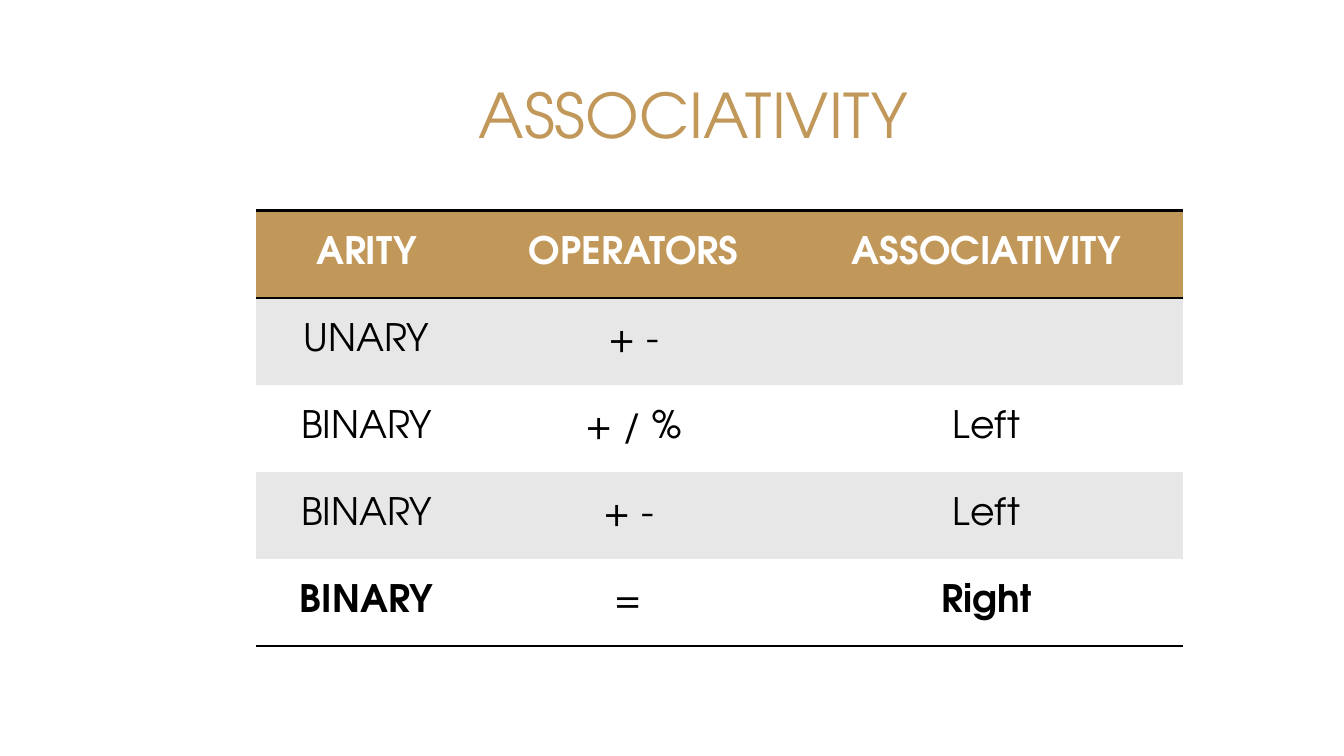
from dataclasses import dataclass

import pptx
import pptx.dml.color
import pptx.enum.text
import pptx.oxml
import pptx.oxml.ns
import pptx.util
from pptx.util import Inches


@dataclass(frozen=True)
class Theme:
    font: str = "TeX Gyre Adventor"
    gold: str = "C19859"
    band: str = "E7E7E7"
    white: str = "FFFFFF"
    black: str = "000000"
    title_size: int = 44
    table_size: int = 27
    rule_width: int = 2


theme = Theme()
NO_STYLE_TABLE = "{2D5ABB26-0587-4C30-8999-92F81FD0307C}"


def write_centred(text_frame, text, size, color, bold=False):
    paragraph = text_frame.paragraphs[0]
    paragraph.alignment = pptx.enum.text.PP_ALIGN.CENTER
    run = paragraph.add_run()
    run.text = text
    font_format = {"name": theme.font, "size": pptx.util.Pt(size), "bold": bold}
    for attribute, value in font_format.items():
        setattr(run.font, attribute, value)
    run.font.color.rgb = pptx.dml.color.RGBColor.from_string(color)


def add_rule(cell, side):
    """Draw a black border on one side of a cell: T for top, B for bottom."""
    width = pptx.util.Pt(theme.rule_width)
    cell_properties = cell._tc.get_or_add_tcPr()
    cell_properties.append(pptx.oxml.parse_xml(
        f'<a:ln{side} {pptx.oxml.ns.nsdecls("a")} w="{width}"><a:solidFill>'
        f'<a:srgbClr val="{theme.black}"/></a:solidFill></a:ln{side}>'))


presentation = pptx.Presentation()
presentation.slide_width = Inches(13.33)
presentation.slide_height = Inches(7.5)
slide = presentation.slides.add_slide(presentation.slide_layouts[6])

# Title
title = slide.shapes.add_textbox(Inches(1.34), Inches(0.4), Inches(11.08), Inches(1.45))
title.text_frame.word_wrap = True
title.text_frame.vertical_anchor = pptx.enum.text.MSO_ANCHOR.MIDDLE
write_centred(title.text_frame, "ASSOCIATIVITY", theme.title_size, theme.gold)

# Operator table; trailing spaces shift the centred operators to the left
operator_rows = [
    ("ARITY", "OPERATORS", "ASSOCIATIVITY"),
    ("UNARY", "+ -", ""),
    ("BINARY", "+ / %", "Left"),
    ("BINARY", "+ - ", "Left"),
    ("BINARY", "= ", "Right"),
]
column_widths = [2.19, 3.11, 3.89]
row_height = 0.864
last_row = len(operator_rows) - 1

table = slide.shapes.add_table(
    len(operator_rows), len(column_widths), Inches(2.54), Inches(2.09),
    Inches(sum(column_widths)), Inches(row_height * len(operator_rows))).table
table.first_row = False
table.horz_banding = False
table._tbl.tblPr.find(pptx.oxml.ns.qn("a:tableStyleId")).text = NO_STYLE_TABLE

for column, width in zip(table.columns, column_widths):
    column.width = Inches(width)

cell_format = {
    "margin_left": Inches(0.16),
    "margin_right": Inches(0.16),
    "margin_top": Inches(0.08),
    "margin_bottom": Inches(0.08),
    "vertical_anchor": pptx.enum.text.MSO_ANCHOR.MIDDLE,
}

for row_index, row_texts in enumerate(operator_rows):
    table.rows[row_index].height = Inches(row_height)
    is_header = row_index == 0
    if is_header:
        fill_color, rule_sides = theme.gold, "TB"
    else:
        fill_color = theme.band if row_index % 2 else theme.white
        rule_sides = "B" if row_index == last_row else ""
    text_color = theme.white if is_header else theme.black

    for column_index, text in enumerate(row_texts):
        cell = table.cell(row_index, column_index)
        for attribute, value in cell_format.items():
            setattr(cell, attribute, value)
        for side in rule_sides:
            add_rule(cell, side)
        cell.fill.solid()
        cell.fill.fore_color.rgb = pptx.dml.color.RGBColor.from_string(fill_color)
        is_bold = is_header or (row_index == last_row and column_index != 1)
        if text:
            write_centred(cell.text_frame, text, theme.table_size, text_color, is_bold)

presentation.save("out.pptx")
